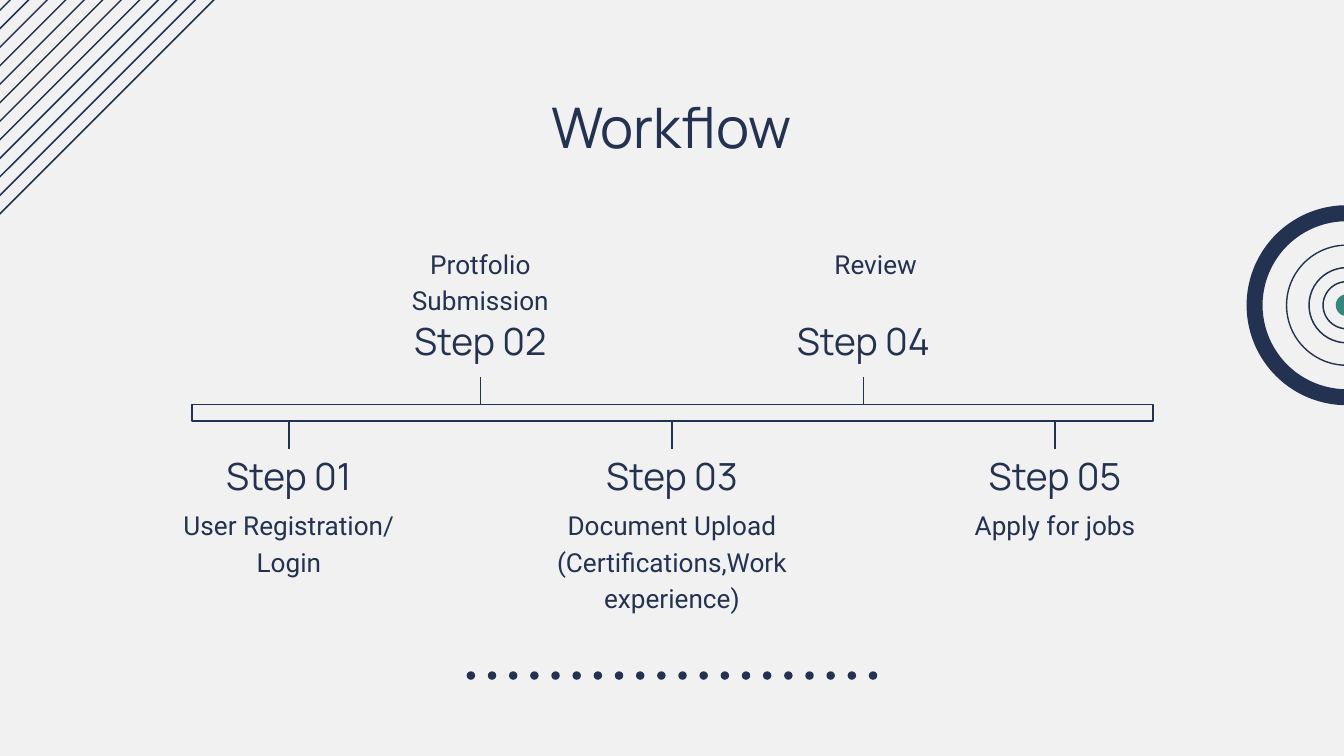
"""Build the workflow timeline slide."""
from lxml.etree import SubElement
from pptx import Presentation
from pptx.dml.color import RGBColor
from pptx.enum.shapes import MSO_CONNECTOR, MSO_SHAPE
from pptx.enum.text import MSO_ANCHOR, PP_ALIGN
from pptx.oxml.ns import qn
from pptx.util import Cm, Pt

COLORS = {"paper": "F1F1F1", "navy": "233251", "green": "36867D"}
TITLE = "Workflow"
STEPS = [
    ("Step 01", ["User Registration/", "Login"], 5.94),
    ("Step 02", ["Protfolio", "Submission"], 5.94),
    ("Step 03", ["Document Upload", "(Certifications,Work experience)"], 5.94),
    ("Step 04", ["Review"], 6.4),
    ("Step 05", ["Apply for jobs"], 5.94),
]
ABOVE = {"heading": 5.94, "caption": 4.36, "tick": (7.13, 7.65)}
BELOW = {"heading": 8.48, "caption": 9.3, "tick": (8.48, 7.96)}
FIRST_STEP, STEP_GAP, STEP_WIDTH = 5.46, 3.62, 5.94
STRIPES, STRIPE_GAP, STRIPE_SPAN = 12, 0.35, 5.55
DOTS, DOT_GAP, DOT_SIZE = 20, 0.4, 0.16
TARGET_X, TARGET_Y = 25.45, 5.77
RINGS = [(2.27, 0.75), (1.42, 0.78), (0.89, 0.78)]


def color(name):
    return RGBColor.from_string(COLORS[name])


def add_line(page, start, end, width=0.75):
    line = page.shapes.add_connector(
        MSO_CONNECTOR.STRAIGHT, *(Cm(value) for value in start + end))
    line.line.color.rgb = color("navy")
    line.line.width = Pt(width)
    SubElement(line._element.spPr, qn("a:effectLst"))


def add_figure(page, kind, left, top, width, height, fill=None, outline=None):
    figure = page.shapes.add_shape(kind, Cm(left), Cm(top), Cm(width), Cm(height))
    figure.shadow.inherit = False
    if fill:
        figure.fill.solid()
        figure.fill.fore_color.rgb = color(fill)
    else:
        figure.fill.background()
    if outline:
        figure.line.color.rgb = color("navy")
        figure.line.width = Pt(outline)
    else:
        figure.line.fill.background()
    return figure


def add_target_part(page, size, kind=MSO_SHAPE.OVAL, **style):
    return add_figure(page, kind, TARGET_X - size / 2, TARGET_Y - size / 2,
                      size, size, **style)


def add_text(page, lines, left, top, width, height, size, font,
             anchor=MSO_ANCHOR.TOP, spacing=1.0):
    box = page.shapes.add_textbox(Cm(left), Cm(top), Cm(width), Cm(height))
    frame = box.text_frame
    frame.word_wrap = True
    frame.vertical_anchor = anchor
    frame.margin_left = frame.margin_right = Cm(0.25)
    frame.margin_top = frame.margin_bottom = Cm(0.25)
    frame.text = "\n".join(lines)
    for paragraph in frame.paragraphs:
        paragraph.alignment = PP_ALIGN.CENTER
        paragraph.line_spacing = spacing
        paragraph.font.size = Pt(size)
        paragraph.font.name = font
        paragraph.font.color.rgb = color("navy")


def add_decoration(page):
    for index in range(STRIPES):
        left = -0.1 - index * STRIPE_GAP
        add_line(page, (left, 4.14), (left + STRIPE_SPAN, 4.14 - STRIPE_SPAN), 0.78)
    for index in range(DOTS):
        add_figure(page, MSO_SHAPE.OVAL, 8.82 + index * DOT_GAP, 12.69,
                   DOT_SIZE, DOT_SIZE, fill="navy")
    for size, outline in RINGS:
        add_target_part(page, size, outline=outline)
    add_target_part(page, 0.41, fill="green")
    rim = add_target_part(page, 3.78, MSO_SHAPE.DONUT, fill="navy")
    rim.adjustments[0] = 0.08


def add_timeline(page):
    add_figure(page, MSO_SHAPE.RECTANGLE, 3.63, 7.65, 18.16, 0.31, outline=0.75)
    for index, (heading, caption, caption_width) in enumerate(STEPS):
        side = ABOVE if index % 2 else BELOW
        center = FIRST_STEP + index * STEP_GAP
        left = center - STEP_WIDTH / 2
        add_text(page, [heading], left, side["heading"], STEP_WIDTH, 1.18,
                 20, "Manrope", anchor=MSO_ANCHOR.BOTTOM)
        add_text(page, caption, left, side["caption"], caption_width, 1.68,
                 14, "Roboto", spacing=1.15)
        start, end = side["tick"]
        add_line(page, (center, start), (center, end))


def main():
    deck = Presentation()
    deck.slide_width, deck.slide_height = Cm(25.4), Cm(14.29)
    page = deck.slides.add_slide(deck.slide_layouts[6])
    page.background.fill.solid()
    page.background.fill.fore_color.rgb = color("paper")
    add_decoration(page)
    add_text(page, [TITLE], 2.42, 1.5, 20.55, 1.6, 30, "Manrope")
    add_timeline(page)
    deck.save("out.pptx")


if __name__ == "__main__":
    main()
